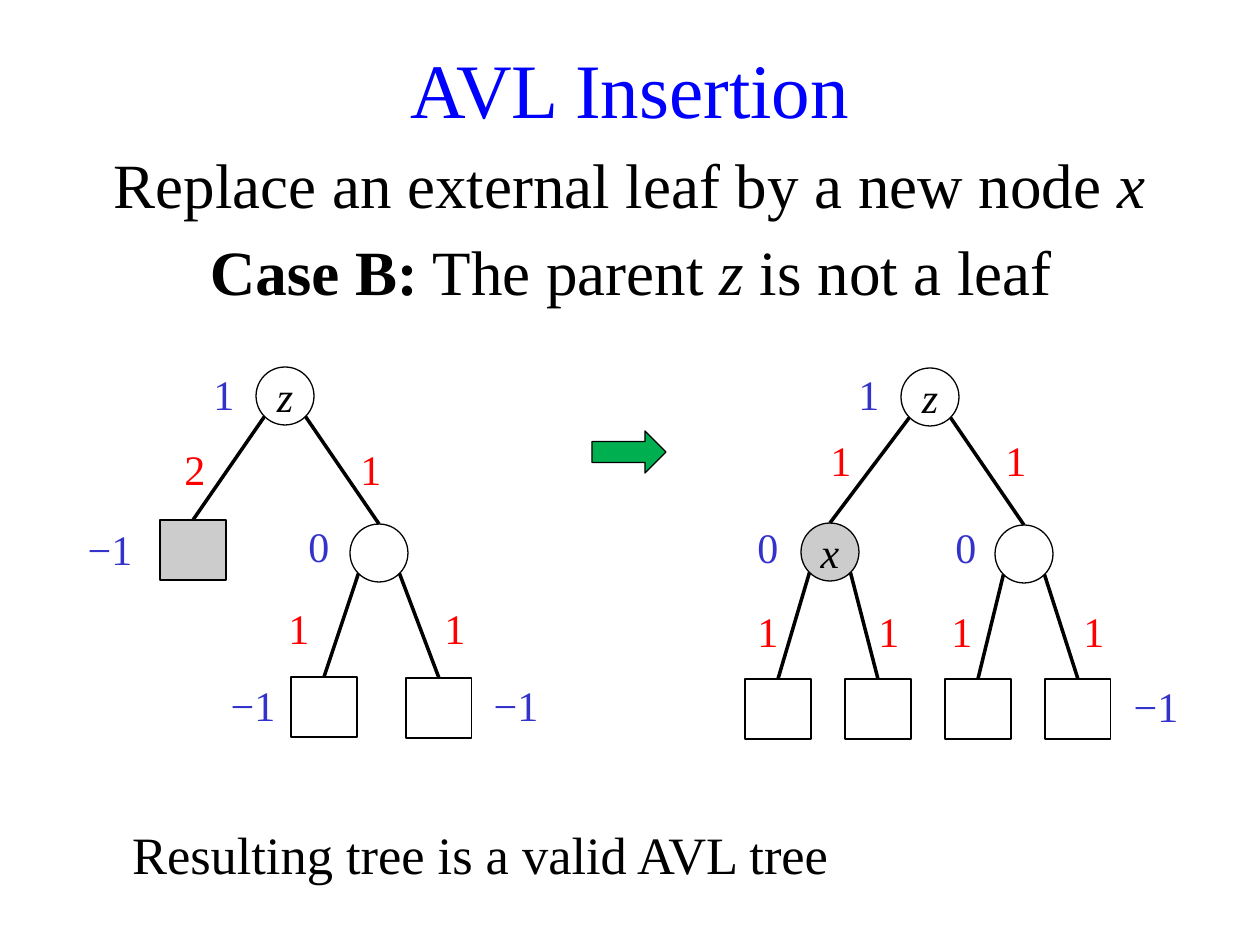
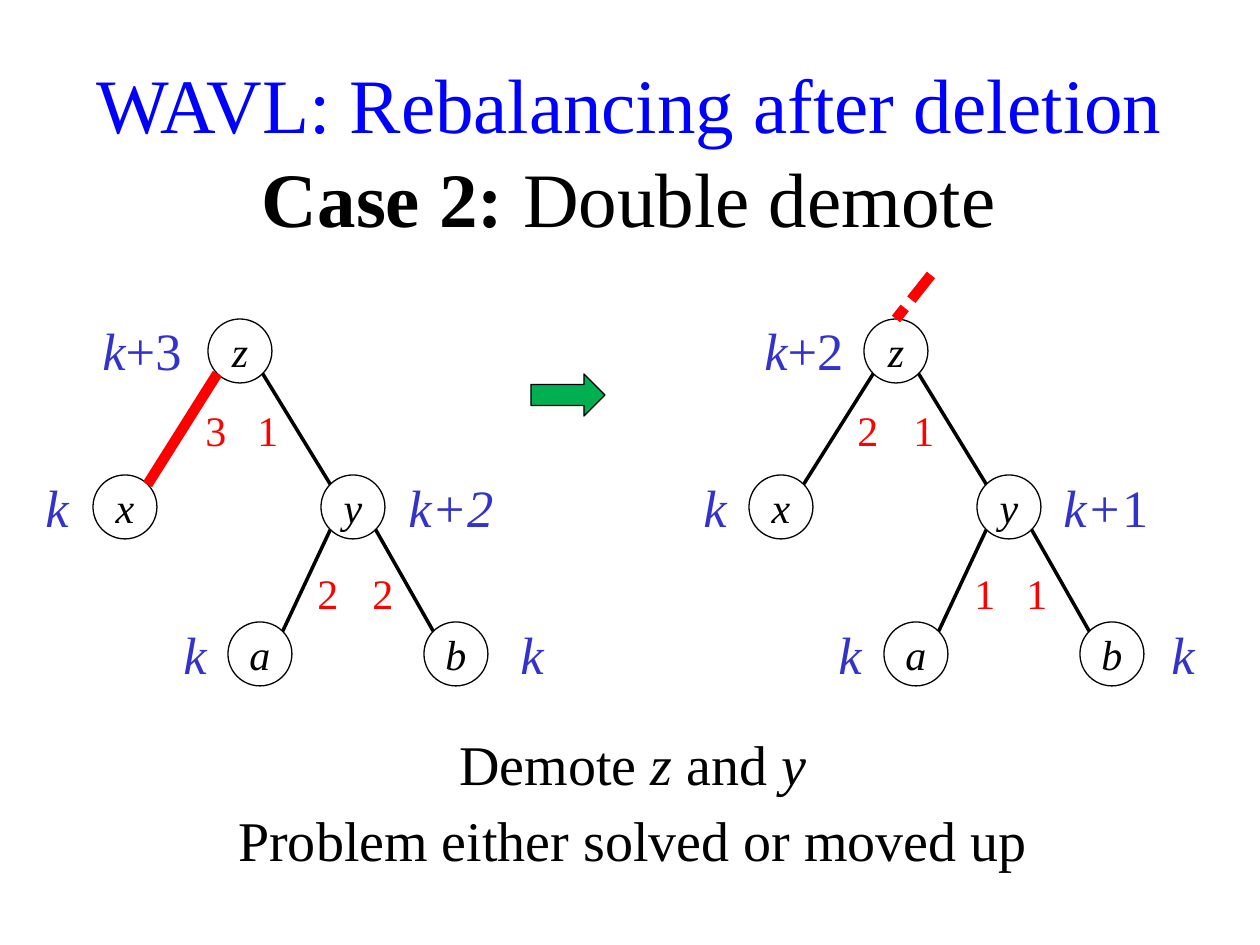
from pptx import Presentation
from pptx.dml.color import RGBColor
from pptx.enum.dml import MSO_LINE
from pptx.enum.shapes import MSO_CONNECTOR, MSO_SHAPE
from pptx.enum.text import MSO_ANCHOR as ANCHOR, PP_ALIGN as ALIGN
from pptx.oxml.ns import qn
from pptx.util import Pt
from lxml.etree import SubElement

PX = 914400 // 126
WIDTH, HEIGHT = 1260, 945
FONT = "Times New Roman"
COLORS = {"title": "0000FF", "ink": "000000", "rank": "3333CC",
          "difference": "FF0000", "new": "CCCCCC", "arrow": "00B050"}
LEAF = (66, 60)

# Text is one string, or a list of (words, style); styles are "b" and "i".
K = ("k", "i")

# Nodes: name -> (kind, centre x, centre y, letter, fill)
# Edges: (parent, child); labels: (text, centre x, top)
INSERT_BEFORE = {
    "nodes": {"z": ("circle", 285, 396, "z", None),
              "gap": ("leaf", 193, 550, "", "new"),
              "right": ("circle", 379, 553, "", None),
              "leaf 1": ("leaf", 324, 707, "", None),
              "leaf 2": ("leaf", 439, 708, "", None)},
    "edges": [("z", "gap"), ("z", "right"),
              ("right", "leaf 1"), ("right", "leaf 2")],
    "ranks": [("1", 224, 362), ("−1", 110, 517), ("0", 319, 514),
              ("−1", 253, 673), ("−1", 516, 673)],
    "differences": [("2", 195, 437), ("1", 371, 437),
                    ("1", 299, 596), ("1", 455, 596)],
}
INSERT_AFTER = {
    "nodes": {"z": ("circle", 930, 397, "z", None),
              "x": ("circle", 830, 552, "x", "new"),
              "right": ("circle", 1024, 554, "", None),
              **{f"leaf {i}": ("leaf", 778 + 100 * i, 709, "", None)
                 for i in range(4)}},
    "edges": [("z", "x"), ("z", "right"), ("x", "leaf 0"), ("x", "leaf 1"),
              ("right", "leaf 2"), ("right", "leaf 3")],
    "ranks": [("1", 869, 362), ("0", 768, 515), ("0", 966, 515),
              ("−1", 1156, 674)],
    "differences": [("1", 841, 428), ("1", 1016, 428), ("1", 768, 599),
                    ("1", 889, 599), ("1", 962, 599), ("1", 1094, 599)],
}


def demote_tree(left, ranks, differences, **extras):
    """Both demotion trees have one form; only place and labels differ."""
    centres = {"z": (240, 351), "x": (125, 507), "y": (353, 507),
               "a": (260, 654), "b": (456, 654)}
    rank_tops = (312, 469, 469, 616, 616)
    difference_tops = (398, 398, 561, 561)
    return {
        "nodes": {name: ("circle", left + x, y, name, None)
                  for name, (x, y) in centres.items()},
        "edges": [("z", "x"), ("z", "y"), ("y", "a"), ("y", "b")],
        "ranks": [(*rank, top) for rank, top in zip(ranks, rank_tops)],
        "differences": [(*difference, top) for difference, top
                        in zip(differences, difference_tops)],
        **extras,
    }


DEMOTE_BEFORE = demote_tree(
    0,
    [([K, ("+3", "")], 142), ([K], 57), ([("k+2", "i")], 451),
     ([K], 195), ([K], 532)],
    [("3", 216), ("1", 268), ("2", 328), ("2", 383)],
    heavy=("z", "x"))
DEMOTE_AFTER = demote_tree(
    656,
    [([K, ("+2", "")], 804), ([K], 715), ([("k+", "i"), ("1", "")], 1106),
     ([K], 850), ([K], 1183)],
    [("2", 868), ("1", 924), ("1", 985), ("1", 1037)],
    upward=("z", 931, 275))

# Lines: (text, left, top, width, height, size)
SLIDES = [
    {"title": ("AVL Insertion", 30),
     "lines": [
         ([("Replace an external leaf by a new node ", ""), ("x", "i")],
          0, 139, WIDTH, 89, 36),
         ([("Case B:", "b"), (" The parent ", ""), ("z", "i"),
           (" is not a leaf", "")], 1, 226, WIDTH, 89, 36),
         ("Resulting tree is a valid AVL tree", 79, 816, 803, 77, 30)],
     "arrow": (592, 431), "trees": [INSERT_BEFORE, INSERT_AFTER],
     "diameter": 58, "rank size": 24, "edge end": "top"},
    {"title": ("WAVL: Rebalancing after deletion", 45),
     "lines": [
         ([("Case 2:", "b"), (" Double demote", "")],
          -1, 144, WIDTH, 106, 44),
         ([("Demote ", ""), ("z", "i"), (" and ", ""), ("y", "i")],
          3, 723, WIDTH, 81, 32),
         ("Problem either solved or moved up", 3, 799, WIDTH, 81, 32)],
     "arrow": (531, 374), "trees": [DEMOTE_BEFORE, DEMOTE_AFTER],
     "diameter": 64, "rank size": 30, "edge end": "side"},
]


def rgb(name):
    return RGBColor.from_string(COLORS[name])


def box(*lengths):
    return [round(length * PX) for length in lengths]


def write(shape, text, size, color="ink", spacing=None, **frame_format):
    frame = shape.text_frame
    for name, value in {"word_wrap": True, **frame_format}.items():
        setattr(frame, name, value)
    paragraph = frame.paragraphs[0]
    paragraph.alignment = ALIGN.CENTER
    paragraph.line_spacing = spacing
    for words, style in [(text, "")] if isinstance(text, str) else text:
        run = paragraph.add_run()
        run.text = words
        run.font.color.rgb = rgb(color)
        for name, value in {"name": FONT, "size": Pt(size),
                            "bold": "b" in style,
                            "italic": "i" in style}.items():
            setattr(run.font, name, value)


def add_text(slide, text, left, top, width, height, size, **options):
    shape = slide.shapes.add_textbox(*box(left, top, width, height))
    write(shape, text, size, **options)


def add_outlined(slide, kind, left, top, width, height, fill=None):
    shape = slide.shapes.add_shape(kind, *box(left, top, width, height))
    shape.shadow.inherit = False
    if fill:
        shape.fill.solid()
        shape.fill.fore_color.rgb = rgb(fill)
    else:
        shape.fill.background()
    shape.line.color.rgb = rgb("ink")
    shape.line.width = Pt(0.75)
    return shape


def add_line(slide, start, end, heavy=False):
    line = slide.shapes.add_connector(MSO_CONNECTOR.STRAIGHT,
                                      *box(*start, *end))
    line.line.color.rgb = rgb("difference" if heavy else "ink")
    line.line.width = Pt(6 if heavy else 2)
    SubElement(line._element.spPr, qn("a:effectLst"))
    return line


def add_tree(slide, tree, diameter, rank_size, edge_end):
    nodes, shapes = tree["nodes"], {}
    for name, (kind, x, y, letter, fill) in nodes.items():
        width, height = LEAF if kind == "leaf" else (diameter, diameter)
        preset = MSO_SHAPE.RECTANGLE if kind == "leaf" else MSO_SHAPE.OVAL
        shape = add_outlined(slide, preset, x - width / 2, y - height / 2,
                             width, height, fill)
        if letter:
            margins = {f"margin_{side}": 0
                       for side in ("left", "right", "top", "bottom")}
            write(shape, [(letter, "i")], 24,
                  vertical_anchor=ANCHOR.MIDDLE, **margins)
        shapes[name] = shape

    # Edges leave a circle at 45 degrees below its centre
    diagonal = diameter / 2 * 0.5 ** 0.5
    for parent, child in tree["edges"]:
        (_, x1, y1, *_), (_, x2, y2, *_) = nodes[parent], nodes[child]
        reach = diagonal if x2 > x1 else -diagonal
        line = add_line(slide, (x1 + reach, y1 + diagonal),
                        (x2 - reach, y2 - diagonal),
                        (parent, child) == tree.get("heavy"))
        if edge_end == "top":
            line.end_connect(shapes[child], 0)

    # The problem that may move up
    if "upward" in tree:
        name, x, y = tree["upward"]
        line = add_line(slide, (x, y), (x, y), heavy=True)
        line.end_connect(shapes[name], 0)
        line.line.dash_style = MSO_LINE.SQUARE_DOT
        line.line._ln.find(qn("a:prstDash")).set("val", "sysDash")

    # Ranks beside nodes, rank differences beside edges
    for group, color, size in (("ranks", "rank", rank_size),
                               ("differences", "difference", 24)):
        width, height = (126, 77) if size == 30 else (76, 60)
        for text, x, top in tree[group]:
            add_text(slide, text, x - width / 2, top, width, height, size,
                     color=color)


def main():
    presentation = Presentation()
    presentation.slide_width, presentation.slide_height = box(WIDTH, HEIGHT)
    for content in SLIDES:
        slide = presentation.slides.add_slide(presentation.slide_layouts[6])
        for tree in content["trees"]:
            add_tree(slide, tree, content["diameter"], content["rank size"],
                     content["edge end"])
        add_outlined(slide, MSO_SHAPE.RIGHT_ARROW, *content["arrow"], 74, 42,
                     "arrow")
        title, top = content["title"]
        add_text(slide, title, 0, top, WIDTH, 128, 44, color="title",
                 spacing=0.9, vertical_anchor=ANCHOR.MIDDLE)
        for line in content["lines"]:
            add_text(slide, *line)
    presentation.save("out.pptx")


if __name__ == "__main__":
    main()
